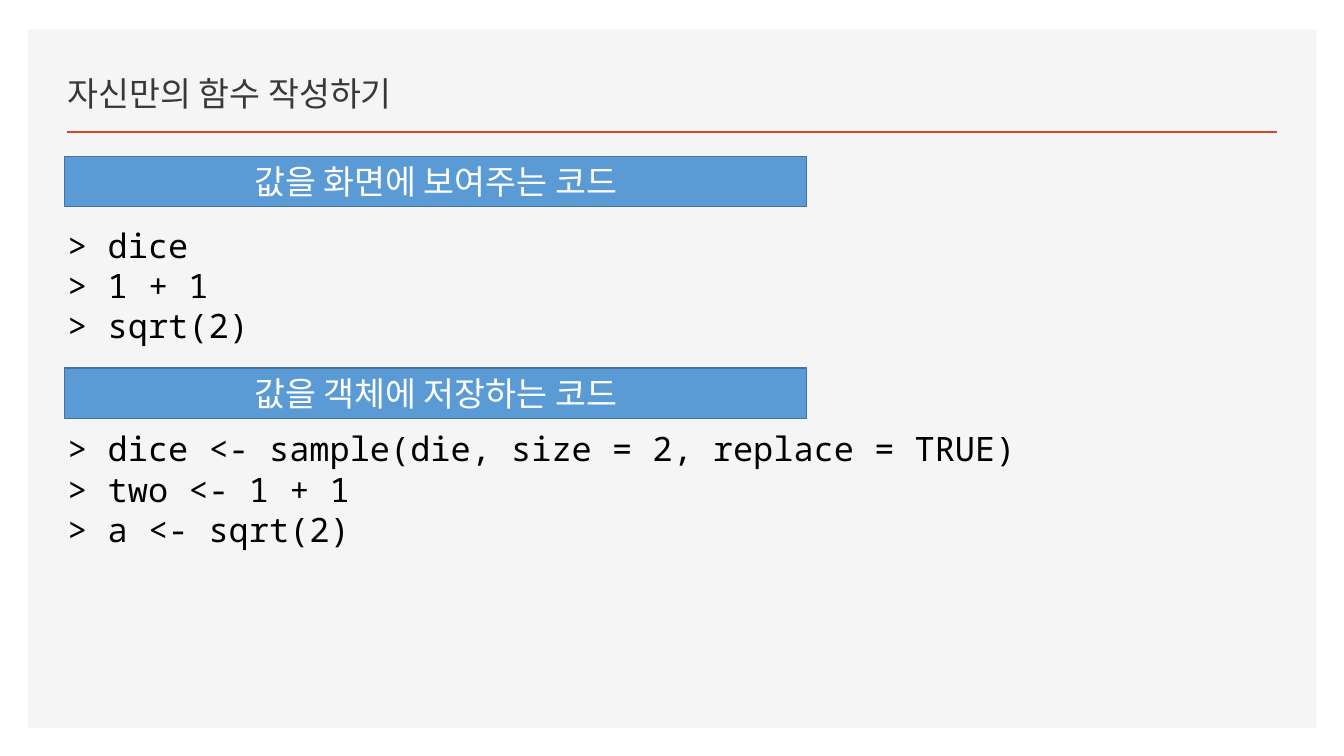
from pptx import Presentation
from pptx.dml.color import RGBColor
from pptx.enum.shapes import MSO_CONNECTOR, MSO_SHAPE
from pptx.enum.text import MSO_ANCHOR, PP_ALIGN
from pptx.oxml.ns import qn
from pptx.util import Inches, Pt
from lxml import etree

RECTANGLE = MSO_SHAPE.RECTANGLE
STRAIGHT = MSO_CONNECTOR.STRAIGHT
MIDDLE, BOTTOM = MSO_ANCHOR.MIDDLE, MSO_ANCHOR.BOTTOM
LEFT, CENTER = PP_ALIGN.LEFT, PP_ALIGN.CENTER

WHITE = RGBColor(0xFF, 0xFF, 0xFF)
BLACK = RGBColor(0x00, 0x00, 0x00)
PANEL_GRAY = RGBColor(0xF5, 0xF5, 0xF5)
TITLE_GRAY = RGBColor(0x3B, 0x38, 0x38)
RULE_RED = RGBColor(0xD2, 0x47, 0x26)
BANNER_BLUE = RGBColor(0x5B, 0x9B, 0xD5)
BANNER_EDGE = RGBColor(0x43, 0x73, 0x9E)

SECTIONS = [
    (1.55, "값을 화면에 보여주는 코드",
     2.18, ["> dice", "> 1 + 1", "> sqrt(2)"]),
    (3.65, "값을 객체에 저장하는 코드",
     4.2, ["> dice <- sample(die, size = 2, replace = TRUE)",
           "> two <- 1 + 1",
           "> a <- sqrt(2)"]),
]


def style(para, font_name, color, align=LEFT):
    para.alignment = align
    para.font.name = font_name
    para.font.size = Pt(24)
    para.font.color.rgb = color


def add_rectangle(page, left, top, width, height, color):
    box = page.shapes.add_shape(
        RECTANGLE, Inches(left), Inches(top), Inches(width), Inches(height))
    box.shadow.inherit = False
    box.fill.solid()
    box.fill.fore_color.rgb = color
    return box


def add_panel(page):
    panel = add_rectangle(page, 0.28, 0.29, 12.78, 6.93, PANEL_GRAY)
    panel.line.fill.background()
    page.shapes.title.element.addprevious(panel.element)


def set_title(page, text):
    title = page.shapes.title
    title.left, title.top = Inches(0.57), Inches(0.48)
    title.width, title.height = Inches(4.85), Inches(0.7)
    frame = title.text_frame
    frame.text = text
    frame.word_wrap = True
    frame.vertical_anchor = BOTTOM
    para = frame.paragraphs[0]
    para.line_spacing = 0.9
    style(para, "Lato", TITLE_GRAY)


def add_rule(page):
    rule = page.shapes.add_connector(
        STRAIGHT, Inches(0.66), Inches(1.31), Inches(12.67), Inches(1.31))
    rule.line.color.rgb = RULE_RED
    rule.line.width = Pt(2)
    etree.SubElement(rule.element.spPr, qn("a:effectLst"))


def add_banner(page, top, text):
    banner = add_rectangle(page, 0.64, top, 7.36, 0.5, BANNER_BLUE)
    banner.line.color.rgb = BANNER_EDGE
    banner.line.width = Pt(1)
    frame = banner.text_frame
    frame.text = text
    frame.vertical_anchor = MIDDLE
    style(frame.paragraphs[0], "DejaVu Sans Mono", WHITE, CENTER)


def add_code(page, top, lines):
    box = page.shapes.add_textbox(
        Inches(0.57), Inches(top), Inches(12.14), Inches(1.31))
    frame = box.text_frame
    frame.word_wrap = True
    frame.text = "\n".join(lines)
    for para in frame.paragraphs:
        style(para, "Noto Sans Mono", BLACK)


def main():
    deck = Presentation()
    deck.slide_width, deck.slide_height = Inches(13.33), Inches(7.5)
    page = deck.slides.add_slide(deck.slide_layouts.get_by_name("Title Only"))
    add_panel(page)
    set_title(page, "자신만의 함수 작성하기")
    add_rule(page)
    for banner_top, heading, code_top, lines in SECTIONS:
        add_banner(page, banner_top, heading)
        add_code(page, code_top, lines)
    deck.save("out.pptx")


if __name__ == "__main__":
    main()
